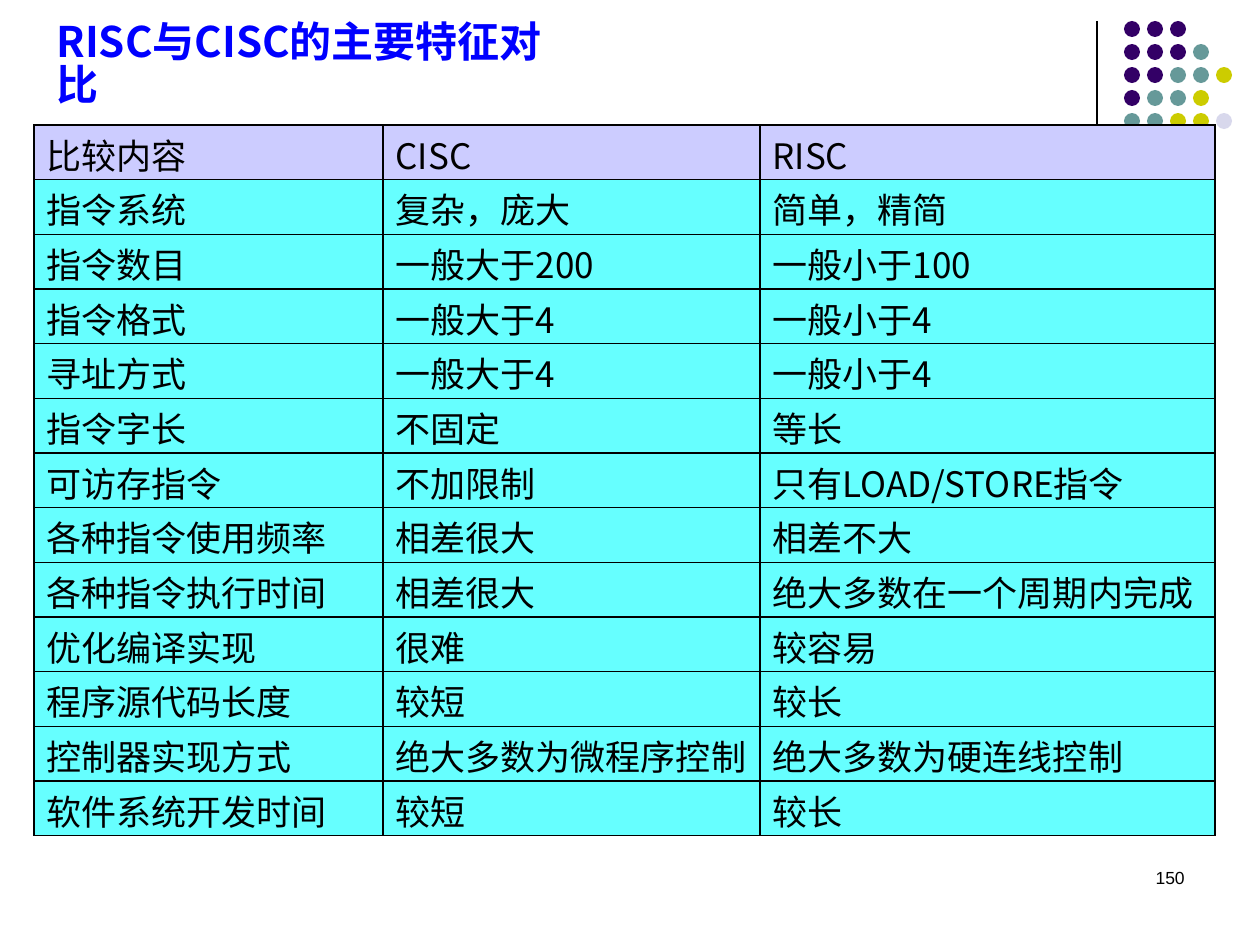
from dataclasses import dataclass

from lxml import etree
from pptx import Presentation
from pptx import util as u
from pptx.dml.color import RGBColor
from pptx.enum import shapes, text
from pptx.oxml.ns import qn

# Content
TITLE = "RISC与CISC的主要特征对比"
PAGE_NUMBER = "150"
ROWS = [
    ("比较内容", "CISC", "RISC"),
    ("指令系统", "复杂，庞大", "简单，精简"),
    ("指令数目", "一般大于200", "一般小于100"),
    ("指令格式", "一般大于4", "一般小于4"),
    ("寻址方式", "一般大于4", "一般小于4"),
    ("指令字长", "不固定", "等长"),
    ("可访存指令", "不加限制", "只有LOAD/STORE指令"),
    ("各种指令使用频率", "相差很大", "相差不大"),
    ("各种指令执行时间", "相差很大", "绝大多数在一个周期内完成"),
    ("优化编译实现", "很难", "较容易"),
    ("程序源代码长度", "较短", "较长"),
    ("控制器实现方式", "绝大多数为微程序控制", "绝大多数为硬连线控制"),
    ("软件系统开发时间", "较短", "较长"),
]
# One letter per dot: purple, teal, olive, light
DOTS = ["PPP", "PPPT", "PPTTO", "PTTO", "TTOOL"]


@dataclass(frozen=True)
class Theme:
    black: str = "000000"
    title: str = "0000FF"
    header: str = "CCCCFF"
    body: str = "66FFFF"
    cjk: str = "Noto Sans CJK SC"
    latin: str = "Arial"
    title_size: int = 24
    cell_size: int = 20
    number_size: int = 10


THEME = Theme()
DOT_COLOURS = {"P": "330066", "T": "669999", "O": "CCCC00", "L": "D8D8EC"}

# Layout in px, 126 to the inch
TABLE_LEFT, TABLE_TOP, TABLE_HEIGHT = 34, 125, 711
COLUMNS = [349, 377, 455]
DOT_LEFT, DOT_TOP, DOT_SIZE, DOT_STEP = 1124, 21, 16, 23


def px(length):
    return u.Emu(round(length * 914400 / 126))


def style(para, size, font, colour, bold=False):
    for span in para.runs:
        span.font.size = u.Pt(size)
        span.font.name = font
        span.font.bold = bold
        span.font.color.rgb = RGBColor.from_string(colour)
        east_asian = etree.SubElement(span.font._element, qn("a:ea"))
        east_asian.set("typeface", font)


def add_text(page, place, words):
    box = page.shapes.add_textbox(*map(px, place))
    box.text_frame.word_wrap = True
    box.text_frame.text = words
    return box.text_frame


def add_borders(cell):
    properties = cell._tc.get_or_add_tcPr()
    for index, side in enumerate(("lnL", "lnR", "lnT", "lnB")):
        line = etree.Element(qn(f"a:{side}"), w=str(u.Pt(1)))
        fill = etree.SubElement(line, qn("a:solidFill"))
        etree.SubElement(fill, qn("a:srgbClr"), val=THEME.black)
        properties.insert(index, line)


def add_decoration(page):
    rule = page.shapes.add_connector(
        shapes.MSO_CONNECTOR.STRAIGHT, px(1097), px(21), px(1097), px(231))
    rule.line.color.rgb = RGBColor.from_string(THEME.black)
    rule.line.width = u.Pt(0.75)
    etree.SubElement(rule._element.spPr, qn("a:effectLst"))
    for row, letters in enumerate(DOTS):
        for column, letter in enumerate(letters):
            dot = page.shapes.add_shape(
                shapes.MSO_SHAPE.OVAL,
                px(DOT_LEFT + column * DOT_STEP), px(DOT_TOP + row * DOT_STEP),
                px(DOT_SIZE), px(DOT_SIZE))
            dot.shadow.inherit = False
            dot.fill.solid()
            dot.fill.fore_color.rgb = RGBColor.from_string(DOT_COLOURS[letter])
            dot.line.fill.background()


def add_comparison(page):
    table = page.shapes.add_table(
        len(ROWS), len(COLUMNS), px(TABLE_LEFT), px(TABLE_TOP),
        px(sum(COLUMNS)), px(TABLE_HEIGHT)).table
    for column, width in zip(table.columns, COLUMNS):
        column.width = px(width)
    for index, (row, words) in enumerate(zip(table.rows, ROWS)):
        row.height = px(TABLE_HEIGHT / len(ROWS))
        for cell, label in zip(row.cells, words):
            cell.text = label
            cell.vertical_anchor = text.MSO_ANCHOR.MIDDLE
            # Tight margins keep the tall CJK line inside its row
            cell.margin_top, cell.margin_bottom = px(3), 0
            cell.fill.solid()
            cell.fill.fore_color.rgb = RGBColor.from_string(
                THEME.body if index else THEME.header)
            add_borders(cell)
            style(cell.text_frame.paragraphs[0], THEME.cell_size,
                  THEME.cjk, THEME.black)


def main():
    deck = Presentation()
    deck.slide_width, deck.slide_height = px(1260), px(945)
    page = deck.slides.add_slide(deck.slide_layouts[6])

    add_decoration(page)

    # Page number
    number = add_text(page, (903, 861, 294, 63), PAGE_NUMBER).paragraphs[0]
    number.alignment = text.PP_ALIGN.RIGHT
    style(number, THEME.number_size, THEME.latin, THEME.black)

    # Title
    frame = add_text(page, (44, 35, 533, 63), TITLE)
    frame.vertical_anchor = text.MSO_ANCHOR.MIDDLE
    heading = frame.paragraphs[0]
    heading.line_spacing = 0.85
    style(heading, THEME.title_size, THEME.cjk, THEME.title, bold=True)

    add_comparison(page)
    deck.save("out.pptx")


if __name__ == "__main__":
    main()
